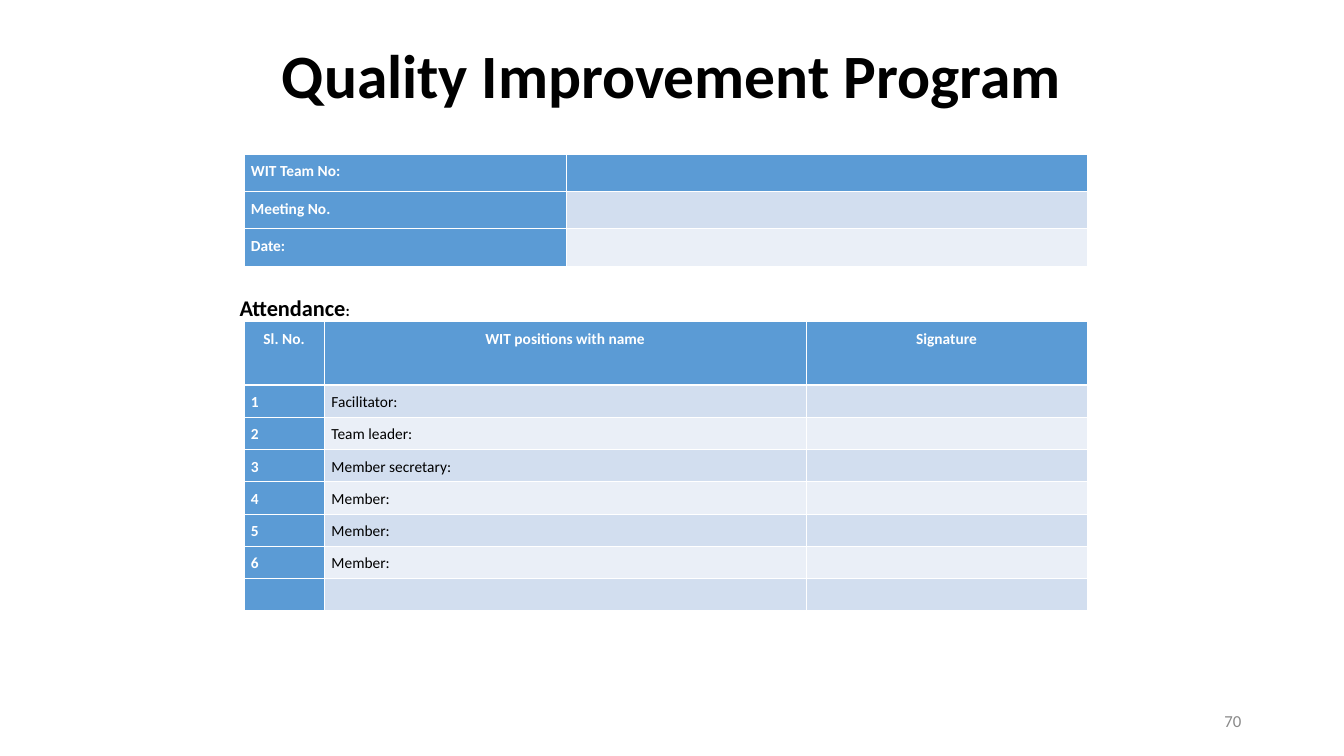
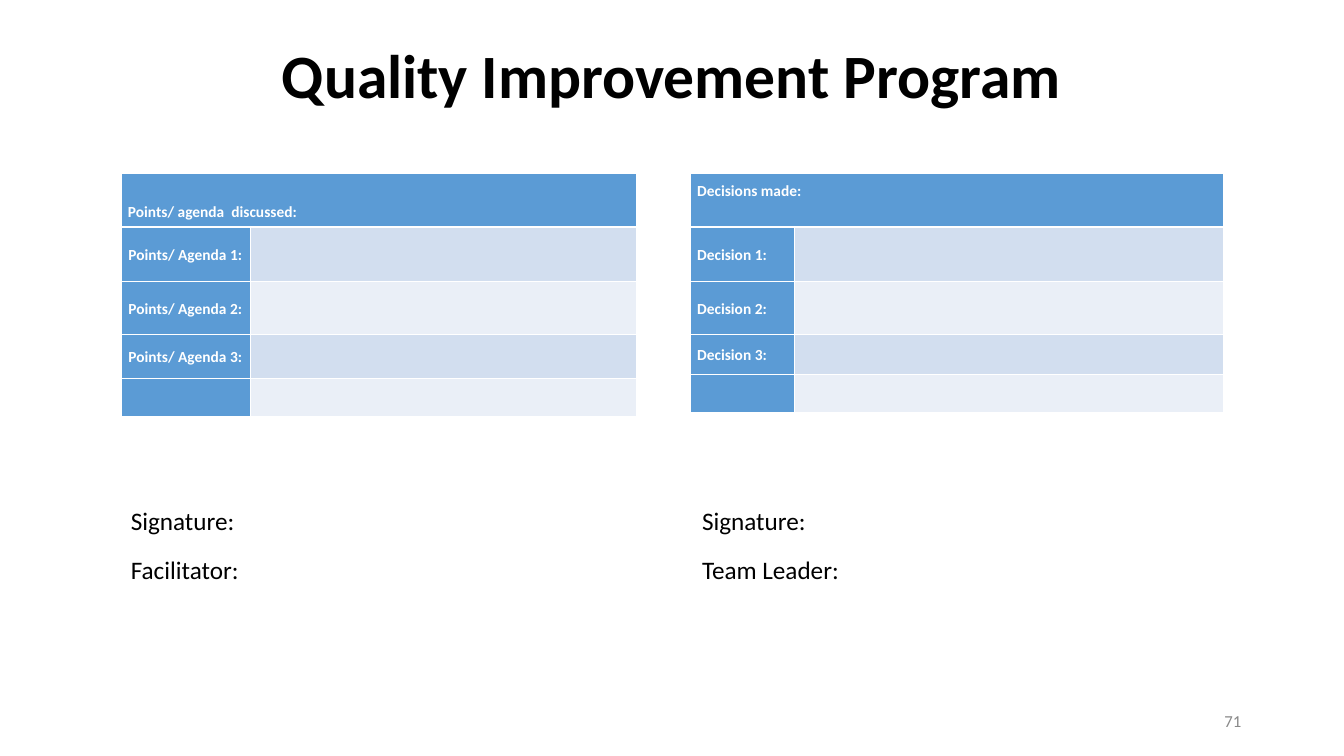
from lxml import etree
from pptx import Presentation
from pptx.dml.color import RGBColor
from pptx.enum.text import MSO_ANCHOR, PP_ALIGN
from pptx.oxml.ns import qn
from pptx.util import Inches, Pt

LEFT, CENTER, RIGHT = PP_ALIGN.LEFT, PP_ALIGN.CENTER, PP_ALIGN.RIGHT
TOP, MIDDLE, BOTTOM = MSO_ANCHOR.TOP, MSO_ANCHOR.MIDDLE, MSO_ANCHOR.BOTTOM
FONT = "Calibri"
BLACK = RGBColor(0x00, 0x00, 0x00)
WHITE = RGBColor(0xFF, 0xFF, 0xFF)
GREY = RGBColor(0x89, 0x89, 0x89)
BLUE = RGBColor(0x5B, 0x9B, 0xD5)
BANDS = [RGBColor(0xEA, 0xEF, 0xF7), RGBColor(0xD2, 0xDE, 0xEF)]
THIN, THICK = Pt(0.45), Pt(1.47)


def add_text(page, place, lines, size, color=BLACK, bold=False, align=LEFT,
             anchor=TOP, spacing=1.0, after=0):
    box = page.shapes.add_textbox(*[Inches(value) for value in place])
    frame = box.text_frame
    frame.word_wrap = True
    frame.vertical_anchor = anchor
    frame.text = "\n".join(lines)
    for para in frame.paragraphs:
        para.alignment = align
        para.line_spacing = spacing
        para.space_after = Pt(after)
        para.font.name, para.font.size = FONT, Pt(size)
        para.font.bold, para.font.color.rgb = bold, color
    return frame.paragraphs[0]


def add_form(page, left, top, widths, heights, rows, header_align=LEFT,
             header_anchor=TOP, label_align=LEFT, body_anchor=TOP):
    table = page.shapes.add_table(
        len(heights), len(widths), Inches(left), Inches(top),
        Inches(sum(widths)), Inches(sum(heights))).table
    for column, width in zip(table.columns, widths):
        column.width = Inches(width)
    for r, (height, texts) in enumerate(zip(heights, rows)):
        table.rows[r].height = Inches(height)
        if len(texts) == 1:
            table.cell(r, 0).merge(table.cell(r, len(widths) - 1))
            texts = texts + [""] * (len(widths) - 1)
        for c, text in enumerate(texts):
            cell = table.cell(r, c)
            accent = r == 0 or c == 0
            cell.fill.solid()
            cell.fill.fore_color.rgb = BLUE if accent else BANDS[r % 2]
            cell.margin_left = cell.margin_right = Inches(0.07)
            cell.vertical_anchor = body_anchor if r else header_anchor
            cell.text = text
            para = cell.text_frame.paragraphs[0]
            para.line_spacing = 1.15
            if r == 0:
                para.alignment = header_align
            elif c == 0:
                para.alignment = label_align
            para.font.name, para.font.size = FONT, Pt(11)
            para.font.bold = accent
            para.font.color.rgb = WHITE if accent else BLACK
            if not text:
                etree.SubElement(para._p, qn("a:endParaRPr"), sz="1100")
            borders = [("L", THIN), ("R", THIN),
                       ("T", THICK if r == 1 else THIN),
                       ("B", THICK if r == 0 else THIN)]
            properties = cell._tc.get_or_add_tcPr()
            for position, (side, width) in enumerate(borders):
                line = etree.Element(qn("a:ln" + side), w=str(int(width)))
                fill = etree.SubElement(line, qn("a:solidFill"))
                etree.SubElement(fill, qn("a:srgbClr"), val=str(WHITE))
                properties.insert(position, line)


deck = Presentation()
deck.slide_width, deck.slide_height = Inches(13.34), Inches(7.5)
pages = [deck.slides.add_slide(deck.slide_layouts[6]) for _ in range(2)]
for number, page in enumerate(pages, 70):
    add_text(page, (0.92, 0.4, 11.5, 0.77), ["Quality Improvement Program"], 44,
             bold=True, align=CENTER, spacing=0.9)
    add_text(page, (9.42, 6.95, 3, 0.4), [str(number)], 12, GREY,
             align=RIGHT, anchor=MIDDLE)
attendance, decisions = pages

add_form(attendance, 2.42, 1.53, [3.2, 5.17], [0.37] * 3,
         [["WIT Team No:", ""], ["Meeting No.", ""], ["Date:", ""]])
heading = add_text(attendance, (2.28, 2.87, 1.6, 0.37), ["Attendance"], 16, bold=True)
colon = heading.add_run()
colon.text = ":"
colon.font.size = Pt(11)

positions = ["Facilitator:", "Team leader:", "Member secretary:"] + ["Member:"] * 3
add_form(attendance, 2.42, 3.19, [0.8, 4.78, 2.79], [0.63] + [0.32] * 7,
         [["Sl. No.", "WIT positions with name", "Signature"]]
         + [[str(n), position, ""] for n, position in enumerate(positions, 1)]
         + [["", "", ""]], header_align=CENTER)

add_form(decisions, 1.2, 1.72, [1.28, 3.84], [0.53, 0.54, 0.53, 0.43, 0.38],
         [["Points/ agenda  discussed:"]]
         + [[f"Points/ Agenda {n}:", ""] for n in range(1, 4)] + [["", ""]],
         header_anchor=BOTTOM, label_align=CENTER, body_anchor=MIDDLE)
add_form(decisions, 6.85, 1.72, [1.03, 4.26], [0.53, 0.54, 0.53, 0.39, 0.38],
         [["Decisions made:"]]
         + [[f"Decision {n}:", ""] for n in range(1, 4)] + [["", ""]],
         body_anchor=MIDDLE)
for left, role in [(1.2, "Facilitator:"), (6.87, "Team Leader:")]:
    add_text(decisions, (left, 4.92, 3, 1), ["Signature:", role], 18,
             spacing=1.15, after=10)

deck.save("out.pptx")
